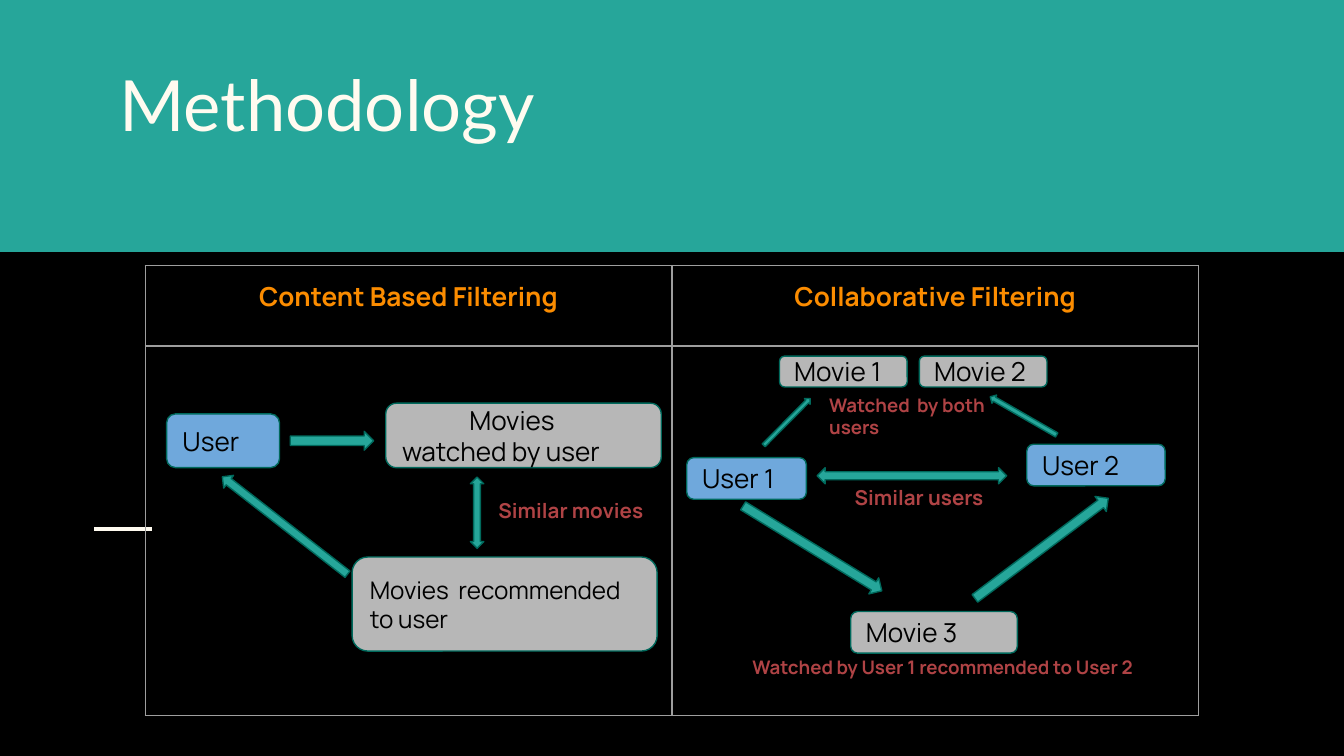
from pptx import Presentation
from pptx.dml.color import RGBColor
from pptx.enum.shapes import MSO_CONNECTOR, MSO_SHAPE as SHAPE
from pptx.enum.text import MSO_ANCHOR as ANCHOR, PP_ALIGN as ALIGN
from pptx.oxml import parse_xml
from pptx.oxml.ns import nsdecls
from pptx.util import Inches, Pt

TEAL, EDGE, CREAM, BLACK = "26A69A", "00695C", "FFFBF0", "000000"
BLUE, GREY, ORANGE, RED, BORDER = "6FA8DC", "B7B7B7", "FB8C00", "AF4345", "9E9E9E"

prs = Presentation()
prs.slide_width = Inches(10)
prs.slide_height = prs.slide_width * 9 // 16
s = prs.slides.add_slide(prs.slide_layouts[6])
COL = ROW = prs.slide_width / 100  # square grid, 100 columns wide


def rgb(value):
    return RGBColor.from_string(value)


def write(tf, text, size, color, font="Manrope", bold=False, anchor=ANCHOR.TOP, left=0.1):
    frame = dict(word_wrap=True, vertical_anchor=anchor, margin_left=Inches(left))
    for side in ("right", "top", "bottom"):
        frame["margin_" + side] = Inches(0.1)
    for name, value in frame.items():
        setattr(tf, name, value)
    p = tf.paragraphs[0]
    r = p.add_run()
    r.text = text
    for name, value in dict(name=font, size=Pt(size), bold=bold).items():
        setattr(r.font, name, value)
    r.font.color.rgb = rgb(color)
    return p


# Background, top band over a third of the slide, and side rule
s.background.fill.solid()
s.background.fill.fore_color.rgb = rgb(BLACK)
band = s.shapes.add_shape(SHAPE.RECTANGLE, 0, 0, prs.slide_width, prs.slide_height // 3)
band.shadow.inherit = False
band.fill.solid()
band.fill.fore_color.rgb = rgb(TEAL)
band.line.fill.background()

y = int(0.7 * prs.slide_height)
rule = s.shapes.add_connector(MSO_CONNECTOR.STRAIGHT, int(7 * COL), y, int(11.3 * COL), y)
rule.line.color.rgb = rgb(CREAM)
rule.line.width = Pt(2.25)
rule._element.spPr.append(parse_xml(f"<a:effectLst {nsdecls('a')}/>"))

# Two-column table with outlined, unfilled cells
table = s.shapes.add_table(2, 2, int(10.8 * COL), int(19.75 * ROW),
                           int(78.4 * COL), int(33.5 * ROW)).table
table.first_row = table.horz_banding = False
for col in table.columns:
    col.width = int(39.2 * COL)
for row, height in zip(table.rows, (6, 27.5)):
    row.height = int(height * ROW)
for cell in table.iter_cells():
    cell.fill.background()
    cell.margin_left = cell.margin_right = cell.margin_top = cell.margin_bottom = Inches(0.1)
    tcPr = cell._tc.get_or_add_tcPr()
    for i, side in enumerate(("lnL", "lnR", "lnT", "lnB")):
        tcPr.insert(i, parse_xml(
            f'<a:{side} {nsdecls("a")} w="{Pt(0.75)}"><a:solidFill>'
            f'<a:srgbClr val="{BORDER}"/></a:solidFill></a:{side}>'))
for i, heading in enumerate(("Content Based Filtering", "Collaborative Filtering")):
    p = write(table.cell(0, i).text_frame, heading, 14, ORANGE, bold=True)
    p.alignment = ALIGN.CENTER

# Boxes: text, column, row, columns wide, rows high, fill, size, first-line indent
boxes = [
    ("User", 12.4, 30.8, 8.4, 4, BLUE, 14, 0),
    ("Movies watched by user", 28.7, 30, 20.5, 4.8, GREY, 14, 0.5),
    ("Movies  recommended to user", 26.2, 41.45, 22.7, 7, GREY, 13, 0),
    ("User 1", 51.1, 34.05, 8.9, 3.1, BLUE, 14, 0),
    ("User 2", 76.4, 33.05, 10.3, 3.1, BLUE, 14, 0),
    ("Movie 1", 58, 26.5, 9.5, 2.3, GREY, 14, 0),
    ("Movie 2", 68.4, 26.5, 9.5, 2.3, GREY, 14, 0),
    ("Movie 3", 63.3, 45.5, 12.4, 3.1, GREY, 14, 0),
]
# Block arrows: preset, column, row, columns wide, rows high, rotation
arrows = [
    (SHAPE.RIGHT_ARROW, 21.6, 32.1, 6.2, 1.4, 0),
    (SHAPE.UP_DOWN_ARROW, 35, 35.5, 1, 5.3, 0),
    (SHAPE.LEFT_ARROW, 15.3, 38.5, 11.8, 1.2, 37.9),
    (SHAPE.RIGHT_ARROW, 56.1, 31.1, 4.9, 0.6, 314.8),
    (SHAPE.LEFT_ARROW, 73.3, 30.6, 5.7, 0.7, 29.9),
    (SHAPE.LEFT_RIGHT_ARROW, 60.8, 34.8, 14.1, 1.2, 0),
    (SHAPE.RIGHT_ARROW, 54.4, 40.1, 12.1, 1.4, 31.5),
    (SHAPE.RIGHT_ARROW, 71.3, 40.1, 12.4, 1.4, 323.1),
]
parts = [(SHAPE.ROUNDED_RECTANGLE, b[1:5], 0, b[5], b) for b in boxes]
parts += [(a[0], a[1:5], a[5], TEAL, None) for a in arrows]
for preset, place, angle, fill, box in parts:
    sp = s.shapes.add_shape(preset, *(int(n * COL) for n in place))
    sp.shadow.inherit = False
    sp.rotation = angle
    sp.fill.solid()
    sp.fill.fore_color.rgb = rgb(fill)
    sp.line.color.rgb = rgb(EDGE)
    sp.line.width = Pt(0.75)
    if box:
        p = write(sp.text_frame, box[0], box[6], BLACK, anchor=ANCHOR.MIDDLE)
        p.alignment = ALIGN.LEFT
        if box[7]:
            p._p.get_or_add_pPr().set("indent", str(Inches(box[7])))

# Title and captions: text, column, row, columns wide, rows high, format
note = dict(color=RED, bold=True)
captions = [
    ("Methodology", 7.9, 6.45, 39.2, 5.4,
     dict(size=37.8, color=CREAM, font="Lato", anchor=ANCHOR.BOTTOM)),
    ("Similar movies", 36.1, 36.15, 13.2, 3.9, dict(note, size=11)),
    ("Watched  by both users", 60.5, 28.3, 15.3, 5.4, dict(note, size=10, left=0.12)),
    ("Similar users", 62.6, 35.2, 13.2, 3.9, dict(note, size=11)),
    ("Watched by User 1 recommended to User 2", 55, 48, 31.2, 3.7, dict(note, size=10)),
]
for text, *place, style in captions:
    sp = s.shapes.add_textbox(*(int(n * COL) for n in place))
    write(sp.text_frame, text, **style)

prs.save("out.pptx")
